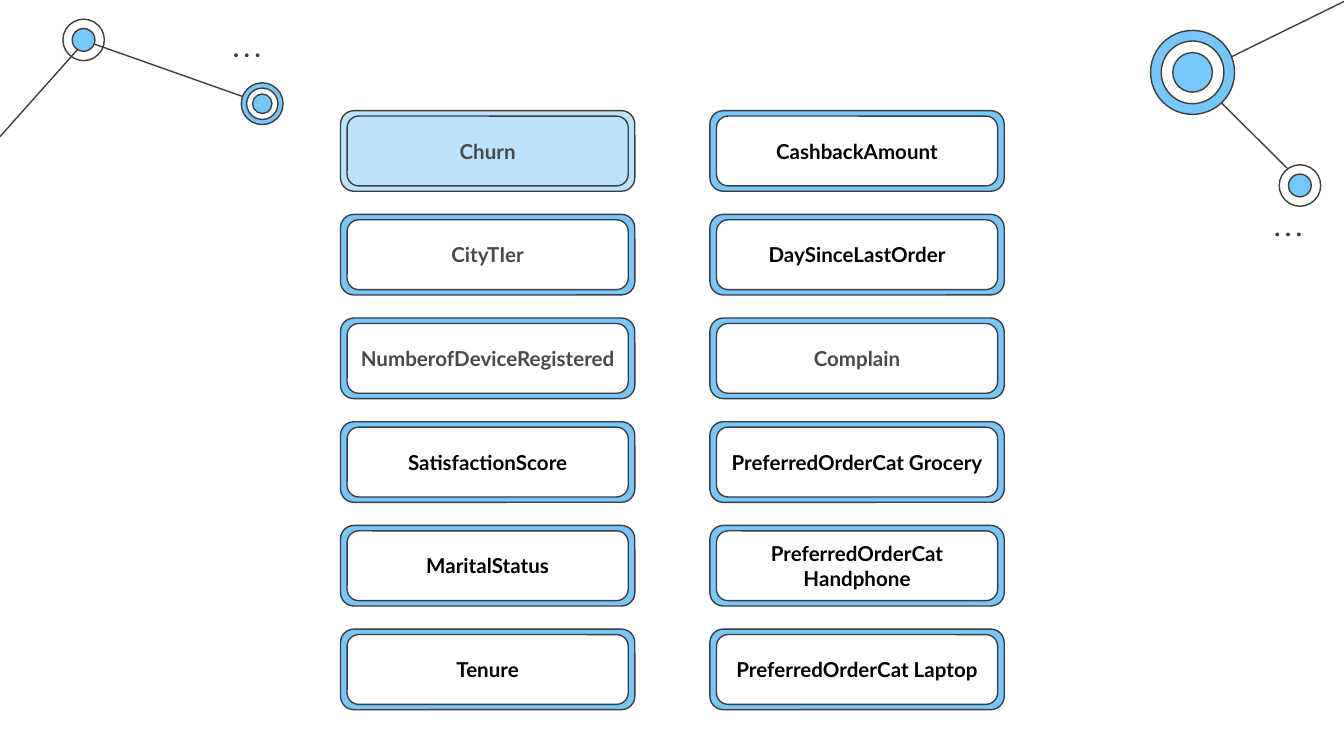
from lxml import etree
from pptx import Presentation
from pptx.dml.color import RGBColor
from pptx.enum import shapes, text
from pptx.oxml.ns import qn
from pptx.util import Pt

BLUE, PALE, WHITE = "77C6FC", "BBE3FE", "FFFFFF"
OUTLINE, GREY, BLACK = "3D3D3D", "494949", "000000"

# Each column, top to bottom: label, text colour, frame fill, panel fill
COLUMNS = [
    [
        ("Churn", GREY, PALE, PALE),
        ("CityTIer", GREY, BLUE, WHITE),
        ("NumberofDeviceRegistered", GREY, BLUE, WHITE),
        ("SatisfactionScore", BLACK, BLUE, WHITE),
        ("MaritalStatus", BLACK, BLUE, WHITE),
        ("Tenure", BLACK, BLUE, WHITE),
    ],
    [
        ("CashbackAmount", BLACK, BLUE, WHITE),
        ("DaySinceLastOrder", BLACK, BLUE, WHITE),
        ("Complain", GREY, BLUE, WHITE),
        ("PreferredOrderCat Grocery", BLACK, BLUE, WHITE),
        ("PreferredOrderCat Handphone", BLACK, BLUE, WHITE),
        ("PreferredOrderCat Laptop", BLACK, BLUE, WHITE),
    ],
]
GRID_LEFT, GRID_TOP = 182.4, 59.3
COLUMN_STEP, ROW_STEP = 197.9, 55.55
FRAME_SIZE = (157.7, 43.2)
PANEL_SIZE = (150.6, 37.4)
LABEL_SIZE = (157.7, 21.6)

LINKS = [
    ((696.5, 97), (638.5, 39.4)),
    ((46, 22), (141, 55.6)),
    ((0, 73.2), (46, 21.6)),
    ((720, 0.8), (641.5, 39.4)),
]
# Centre of each node, then its circles from the outside in: diameter, fill
NODES = [
    ((44.8, 21.4), [(22.2, None), (12.2, BLUE)]),
    ((140.5, 55.6), [(22.4, BLUE), (16.8, WHITE), (10.4, BLUE)]),
    ((638.9, 38.8), [(45, BLUE), (33.6, WHITE), (21.2, BLUE)]),
    ((696.4, 99.4), [(22.2, WHITE), (12.2, BLUE)]),
]
# Centre of the middle dot in each row of three
DOT_ROWS = [(132.2, 29.6), (690, 125.6)]
DOT_SIZE, DOT_STEP = 2, 5.8


def color(value):
    return RGBColor.from_string(value)


def add_centred(slide, kind, center, size, fill, outline=OUTLINE):
    (x, y), (width, height) = center, size
    shape = slide.shapes.add_shape(
        kind, Pt(x - width / 2), Pt(y - height / 2), Pt(width), Pt(height))
    shape.shadow.inherit = False
    if fill:
        shape.fill.solid()
        shape.fill.fore_color.rgb = color(fill)
    else:
        shape.fill.background()
    if outline:
        shape.line.color.rgb = color(outline)
        shape.line.width = Pt(0.75)
    else:
        shape.line.fill.background()
    return shape


def add_link(slide, start, end):
    link = slide.shapes.add_connector(
        shapes.MSO_CONNECTOR.STRAIGHT, *map(Pt, start + end))
    link.line.color.rgb = color(OUTLINE)
    link.line.width = Pt(0.75)
    etree.SubElement(link._element.spPr, qn("a:effectLst"))


def add_label(slide, center, label, text_color):
    (x, y), (width, height) = center, LABEL_SIZE
    box = slide.shapes.add_textbox(
        Pt(x - width / 2), Pt(y - height / 2), Pt(width), Pt(height))
    frame = box.text_frame
    frame.word_wrap = True
    frame.vertical_anchor = text.MSO_ANCHOR.MIDDLE
    frame.margin_left = frame.margin_right = Pt(7.2)
    frame.margin_top = frame.margin_bottom = Pt(7.2)
    frame.text = label
    paragraph = frame.paragraphs[0]
    paragraph.alignment = text.PP_ALIGN.CENTER
    font = paragraph.runs[0].font
    font.name, font.size, font.bold = "Lato", Pt(11), True
    font.color.rgb = color(text_color)


def add_network(slide):
    oval = shapes.MSO_SHAPE.OVAL
    for start, end in LINKS:
        add_link(slide, start, end)
    for center, circles in NODES:
        for diameter, fill in circles:
            add_centred(slide, oval, center, (diameter, diameter), fill)
    for x, y in DOT_ROWS:
        for offset in (-DOT_STEP, 0, DOT_STEP):
            add_centred(slide, oval, (x + offset, y), (DOT_SIZE, DOT_SIZE),
                        OUTLINE, outline=None)


def add_features(slide):
    rounded = shapes.MSO_SHAPE.ROUNDED_RECTANGLE
    for column, features in enumerate(COLUMNS):
        for row, (label, text_color, frame_fill, panel_fill) in enumerate(features):
            center = (GRID_LEFT + column * COLUMN_STEP + FRAME_SIZE[0] / 2,
                      GRID_TOP + row * ROW_STEP + FRAME_SIZE[1] / 2)
            add_centred(slide, rounded, center, FRAME_SIZE, frame_fill)
            add_centred(slide, rounded, center, PANEL_SIZE, panel_fill)
            add_label(slide, center, label, text_color)


def main():
    presentation = Presentation()
    presentation.slide_width, presentation.slide_height = Pt(720), Pt(405)
    slide = presentation.slides.add_slide(presentation.slide_layouts[6])
    add_network(slide)
    add_features(slide)
    presentation.save("out.pptx")


if __name__ == "__main__":
    main()
